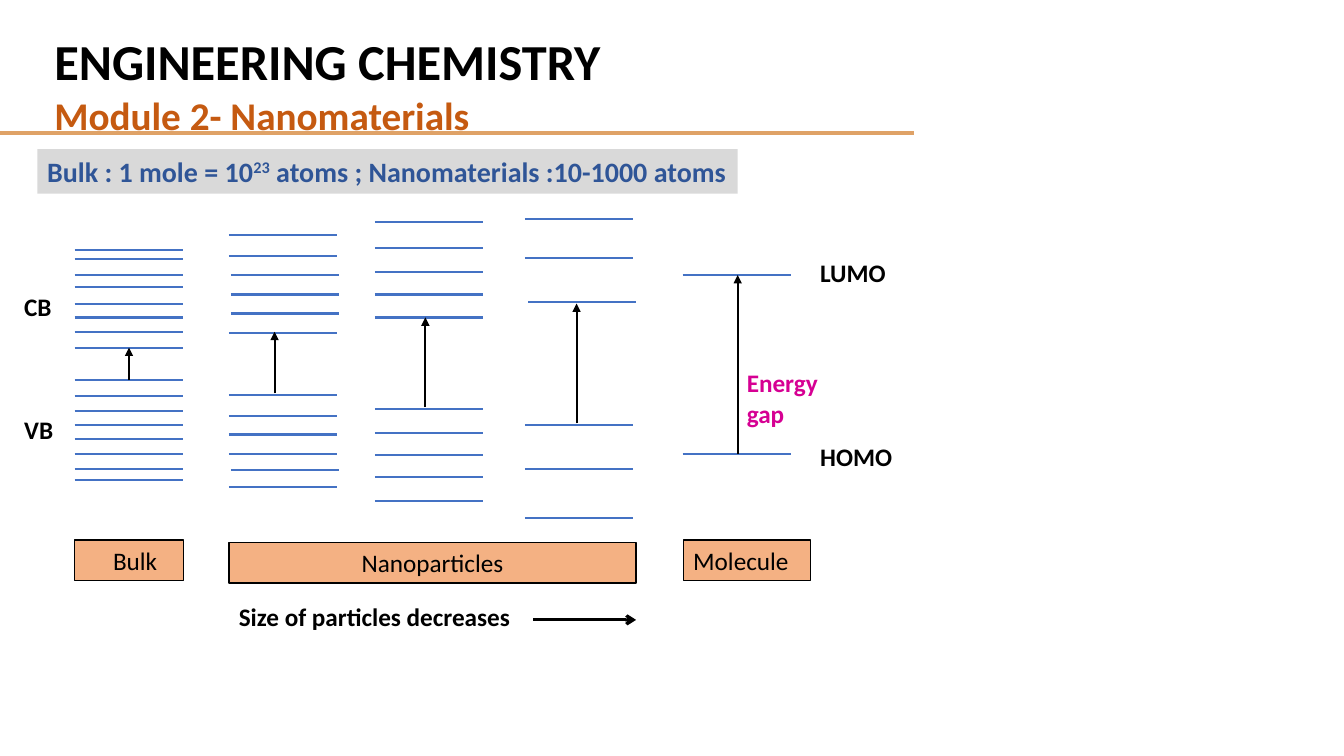
"""Build the energy level slide for bulk, nanoparticles and molecules."""
from lxml import etree
from pptx import Presentation
from pptx.dml.color import RGBColor
from pptx.enum import shapes, text
from pptx.oxml import ns
from pptx.util import Cm, Pt

BLACK = RGBColor(0x00, 0x00, 0x00)
BLUE = RGBColor(0x44, 0x72, 0xC4)
NAVY = RGBColor(0x2F, 0x55, 0x97)
RUST = RGBColor(0xC5, 0x5A, 0x11)
SAND = RGBColor(0xDF, 0xA2, 0x67)
PEACH = RGBColor(0xF4, 0xB1, 0x83)
GREY = RGBColor(0xD9, 0xD9, 0xD9)
PINK = RGBColor(0xD6, 0x00, 0x93)

LEVEL_WIDTH = 2.73
LEVELS = [
    (1.88, [6.3, 6.53, 6.93, 7.24, 7.65, 8, 8.36, 8.76,
            9.58, 9.98, 10.36, 10.72, 11.07, 11.43, 11.81, 12.09]),
    (5.77, [5.92, 6.45, 8.38, 9.96, 10.49, 10.95, 11.43, 12.27]),
    (5.82, [6.93, 7.42, 7.9, 11.84]),
    (9.45, [5.59, 6.25, 6.86, 7.42, 8, 10.31, 10.9, 11.46, 12.01, 12.62]),
    (13.23, [5.51, 6.5, 10.72, 11.81, 13.06]),
    (13.31, [7.62]),
    (17.2, [6.93, 11.43]),
]
GAPS = [(3.25, 9.58, 8.76), (6.92, 9.91, 8.36), (10.72, 10.26, 8),
        (14.53, 10.67, 7.65), (18.59, 11.43, 6.93)]


def add_line(s, x1, y1, x2, y2, color, width=1.5, head=None):
    """Draw a straight line, with an arrowhead at its end if asked."""
    c = s.shapes.add_connector(shapes.MSO_CONNECTOR.STRAIGHT,
                               Cm(x1), Cm(y1), Cm(x2), Cm(y2))
    c.line.color.rgb = color
    c.line.width = Pt(width)
    if head:
        etree.SubElement(c.line._get_or_add_ln(), ns.qn("a:tailEnd"), type=head)
    etree.SubElement(c._element.spPr, ns.qn("a:effectLst"))


def add_run(p, words, size=18, color=BLACK, bold=True, baseline=None):
    """Add one formatted run to a paragraph."""
    r = p.add_run()
    r.text = words
    r.font.name = "Calibri"
    r.font.size = Pt(size)
    r.font.bold = bold
    r.font.color.rgb = color
    if baseline:
        r._r.get_or_add_rPr().set("baseline", str(baseline))


def add_text(sp, *paragraphs, align=text.PP_ALIGN.LEFT, indent=0, **fmt):
    """Fill a shape with paragraphs, each a list of (words, format) runs."""
    tf = sp.text_frame
    tf.word_wrap = True
    tf.vertical_anchor = text.MSO_ANCHOR.TOP
    tf.margin_left = Cm(0.25 + indent)
    for i, runs in enumerate(paragraphs):
        p = tf.add_paragraph() if i else tf.paragraphs[0]
        p.alignment = align
        for words, extra in runs:
            add_run(p, words, **{**fmt, **extra})


def add_label(s, x, y, w, h, words, **fmt):
    """Place a plain one-paragraph label."""
    add_text(s.shapes.add_textbox(Cm(x), Cm(y), Cm(w), Cm(h)),
             [(words, {})], **fmt)


def add_box(s, x, y, w, h, fill, outline=None):
    """Place a filled rectangle and return it."""
    sp = s.shapes.add_shape(shapes.MSO_SHAPE.RECTANGLE,
                            Cm(x), Cm(y), Cm(w), Cm(h))
    sp.shadow.inherit = False
    sp.fill.solid()
    sp.fill.fore_color.rgb = fill
    if outline is None:
        sp.line.fill.background()
    else:
        sp.line.color.rgb = outline
        sp.line.width = Pt(1)
    return sp


def add_heading(s):
    """Place the titles, their rule and the grey fact bar."""
    add_line(s, 0, 3.35, 23.04, 3.35, SAND, 3)
    title = s.shapes.add_textbox(Cm(1.12), Cm(0.64), Cm(22.22), Cm(3))
    add_text(title, [("ENGINEERING CHEMISTRY", {"size": 36})],
             [("Module 2- Nanomaterials", {"size": 28, "color": RUST})])
    add_text(add_box(s, 0.94, 3.76, 17.65, 1.12, GREY),
             [("Bulk : 1 mole = 10", {}), ("23", {"baseline": 30000}),
              (" atoms ; Nanomaterials :10-1000 atoms", {})],
             size=20, color=NAVY)


def add_levels(s):
    """Draw the energy levels, the gap arrows and their labels."""
    for x, heights in LEVELS:
        for y in heights:
            add_line(s, x, y, x + LEVEL_WIDTH, y, BLUE)
    for x, bottom, top in GAPS:
        add_line(s, x, bottom, x, top, BLACK, head="triangle")
    for x, y, w, words in [(20.42, 6.35, 2.87, "LUMO"), (20.42, 11, 2.87, "HOMO"),
                           (0.36, 7.21, 1.6, "CB"), (0.36, 10.31, 1.6, "VB")]:
        add_label(s, x, y, w, 1.02, words)
    add_label(s, 18.57, 9.14, 3, 1.8, "Energy gap", color=PINK)


def add_captions(s):
    """Place the orange captions and the size arrow."""
    for x, y, w, words, fmt in [
            (1.88, 13.61, 2.75, "Bulk", {"indent": 0.72}),
            (5.77, 13.67, 10.26, "Nanoparticles",
             {"align": text.PP_ALIGN.CENTER}),
            (17.22, 13.61, 3.2, "Molecule", {})]:
        add_text(add_box(s, x, y, w, 1.02, PEACH, BLACK),
                 [(words, {})], bold=False, **fmt)
    add_label(s, 5.77, 15.04, 10.92, 1.02, "Size of particles decreases")
    add_line(s, 13.44, 15.62, 16.03, 15.62, BLACK, 2.25, "arrow")


def main():
    """Build and save the slide."""
    prs = Presentation()
    prs.slide_width, prs.slide_height = Cm(33.87), Cm(19.05)
    s = prs.slides.add_slide(prs.slide_layouts[6])
    add_heading(s)
    add_levels(s)
    add_captions(s)
    prs.save("out.pptx")


if __name__ == "__main__":
    main()
